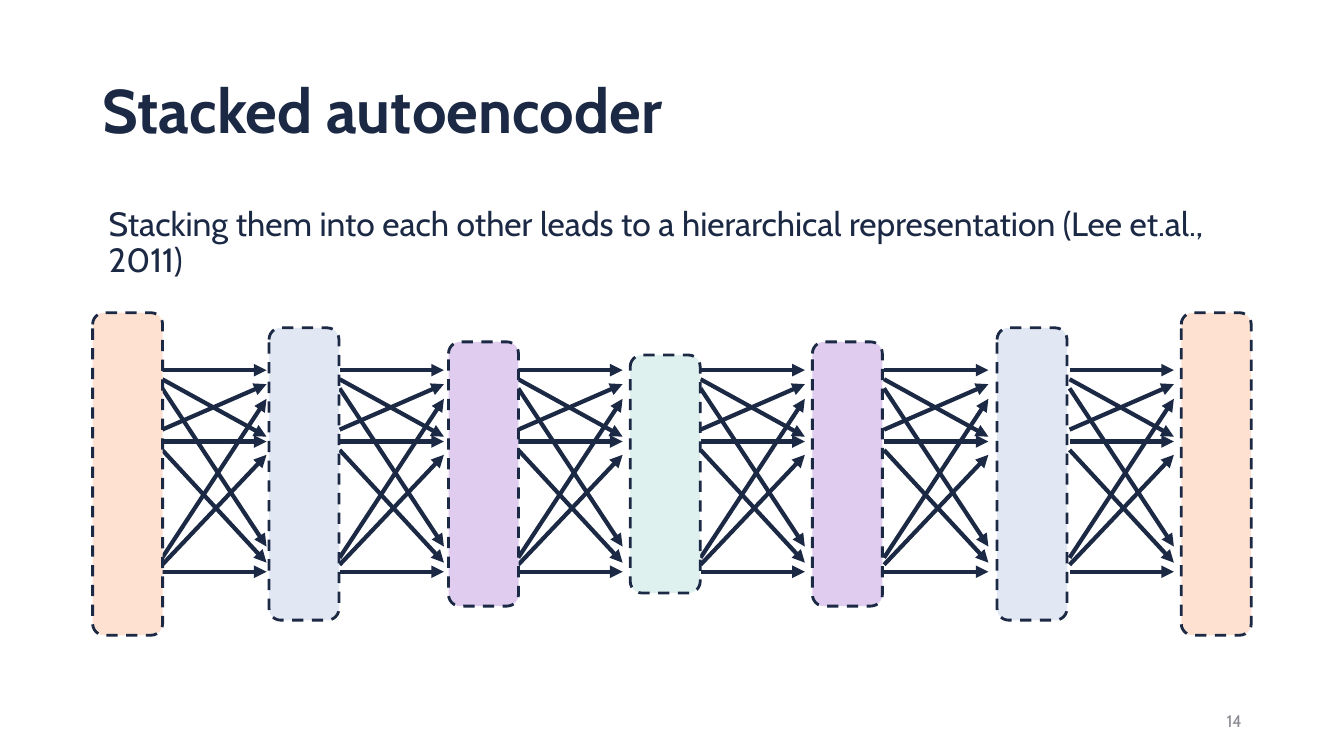
import pptx
import pptx.util
import pptx.dml.color
import pptx.enum.dml
import pptx.enum.shapes
import pptx.enum.text
import pptx.oxml.ns
from lxml import etree

Pt = pptx.util.Pt
ALIGN = pptx.enum.text.PP_ALIGN
ANCHOR = pptx.enum.text.MSO_ANCHOR

COLOURS = {
    "ink": "1B2944",
    "grey": "898B91",
    "peach": "FFE1D2",
    "blue": "E1E7F3",
    "purple": "DFCCEE",
    "mint": "DFF1EF",
}
FONT = "Cabin"
LAYER_WIDTH = 50
FAN_WIDTH = 74.5
FAN_TOP = 48.2
LAYERS = [
    (0, 230.4, "peach"),
    (126, 208.8, "blue"),
    (254.2, 188.8, "purple"),
    (384, 170, "mint"),
    (514.1, 188.8, "purple"),
    (646, 208.8, "blue"),
    (777.6, 230.4, "peach"),
]
FAN_LEFTS = [49.7, 126 + 50.4, 304, 434.2, 565.3, 697.8]
FAN_ARROWS = [
    (6.5, 47.5), (0, 0), (13, 126),
    (42.5, 10), (51, 51), (57, 137.5),
    (134, 20.5), (139, 60.5), (144, 144),
]


def colour(name):
    return pptx.dml.color.RGBColor.from_string(COLOURS[name])


def write_text(shape, words, size, ink, align=ALIGN.LEFT, anchor=ANCHOR.TOP,
               bold=False, spacing=1.0, indent=0):
    frame = shape.text_frame
    frame.word_wrap = True
    frame.auto_size = pptx.enum.text.MSO_AUTO_SIZE.NONE
    frame.vertical_anchor = anchor
    frame.margin_left = frame.margin_right = Pt(7.2 + indent)
    frame.margin_right = Pt(7.2)
    frame.margin_top = frame.margin_bottom = Pt(3.6)
    para = frame.paragraphs[0]
    para.alignment = align
    para.line_spacing = spacing
    para.space_before = Pt(0)
    span = para.add_run()
    span.text = words
    span.font.name = FONT
    span.font.size = Pt(size)
    span.font.bold = bold
    span.font.color.rgb = colour(ink)


def add_heading(page, left, top, width, height):
    title = page.shapes.title
    title.left, title.top = Pt(left), Pt(top)
    title.width, title.height = Pt(width), Pt(height)
    write_text(title, "Stacked autoencoder", 44, "ink",
               anchor=ANCHOR.MIDDLE, bold=True, spacing=0.9)


def add_statement(page, left, top, width, height):
    box = page.shapes.add_textbox(Pt(left), Pt(top), Pt(width), Pt(height))
    write_text(box, "Stacking them into each other leads to a hierarchical "
               "representation (Lee et.al., 2011)", 24, "ink",
               spacing=0.9, indent=4.3)


def add_page_number(page, left, top, width, height):
    box = page.shapes.add_textbox(Pt(left), Pt(top), Pt(width), Pt(height))
    write_text(box, "14", 12, "grey", ALIGN.RIGHT, ANCHOR.MIDDLE)


def add_layer(page, left, top, width, height, fill):
    layer = page.shapes.add_shape(
        pptx.enum.shapes.MSO_SHAPE.ROUNDED_RECTANGLE,
        Pt(left), Pt(top), Pt(width), Pt(height))
    layer.shadow.inherit = False
    layer.fill.solid()
    layer.fill.fore_color.rgb = colour(fill)
    layer.line.color.rgb = colour("ink")
    layer.line.width = Pt(2)
    layer.line.dash_style = pptx.enum.dml.MSO_LINE.DASH


def add_fan(page, left, top, width):
    qn = pptx.oxml.ns.qn
    for start, end in FAN_ARROWS:
        arrow = page.shapes.add_connector(
            pptx.enum.shapes.MSO_CONNECTOR.STRAIGHT,
            Pt(left), Pt(top + start), Pt(left + width), Pt(top + end))
        arrow.line.color.rgb = colour("ink")
        arrow.line.width = Pt(3)
        outline = arrow.line._get_or_add_ln()
        etree.SubElement(outline, qn("a:tailEnd"), type="triangle")
        etree.SubElement(arrow._element.spPr, qn("a:effectLst"))


def add_network(page, left, top, height):
    for offset in FAN_LEFTS:
        add_fan(page, left + offset, top + (height - 230.4) / 2 + FAN_TOP - 7.2,
                FAN_WIDTH)
    for offset, layer_height, fill in LAYERS:
        add_layer(page, left + offset, top + (height - layer_height) / 2,
                  LAYER_WIDTH, layer_height, fill)


def main():
    deck = pptx.Presentation()
    deck.slide_width, deck.slide_height = Pt(960), Pt(540)
    page = deck.slides.add_slide(deck.slide_layouts[5])
    add_heading(page, 66.2, 28.8, 828, 104.4)
    add_statement(page, 66.2, 144.7, 828, 336.2)
    add_page_number(page, 678.2, 500.4, 216, 28.8)
    add_network(page, 66.2, 223.4, 230.4)
    deck.save("out.pptx")


if __name__ == "__main__":
    main()
